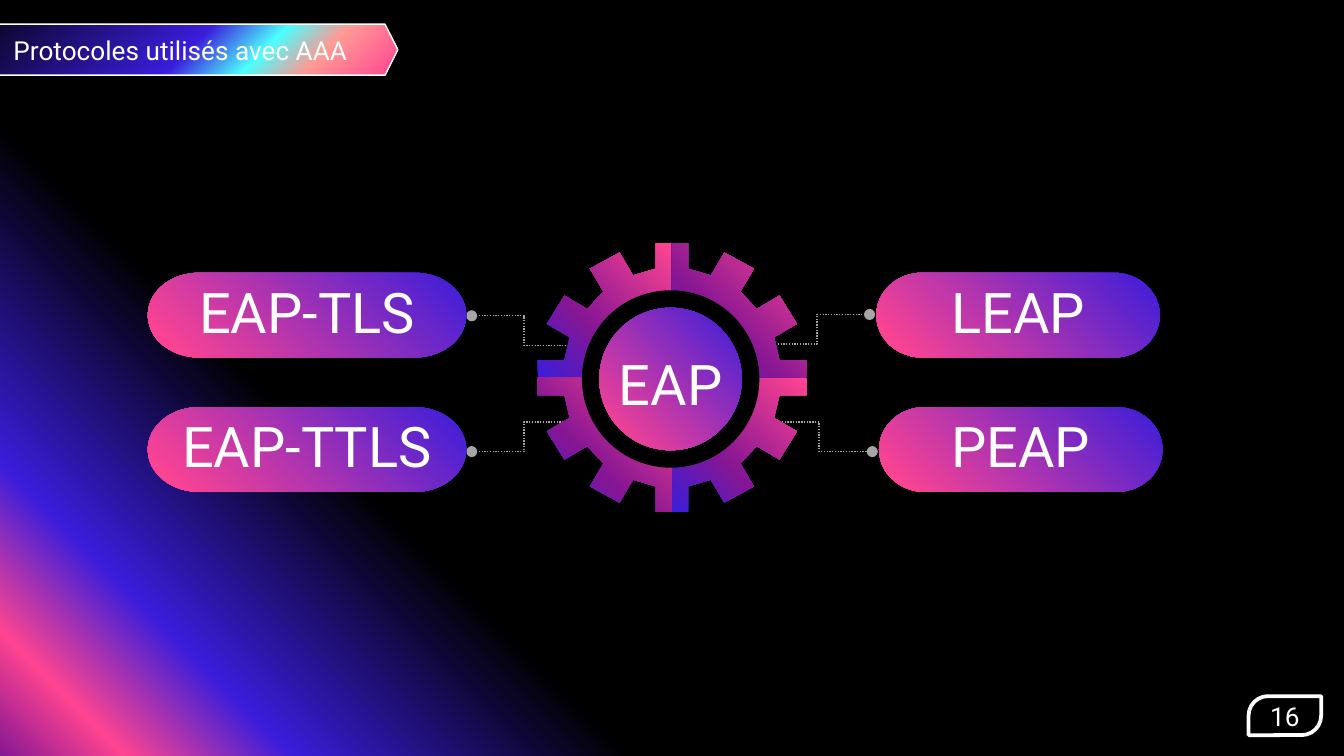
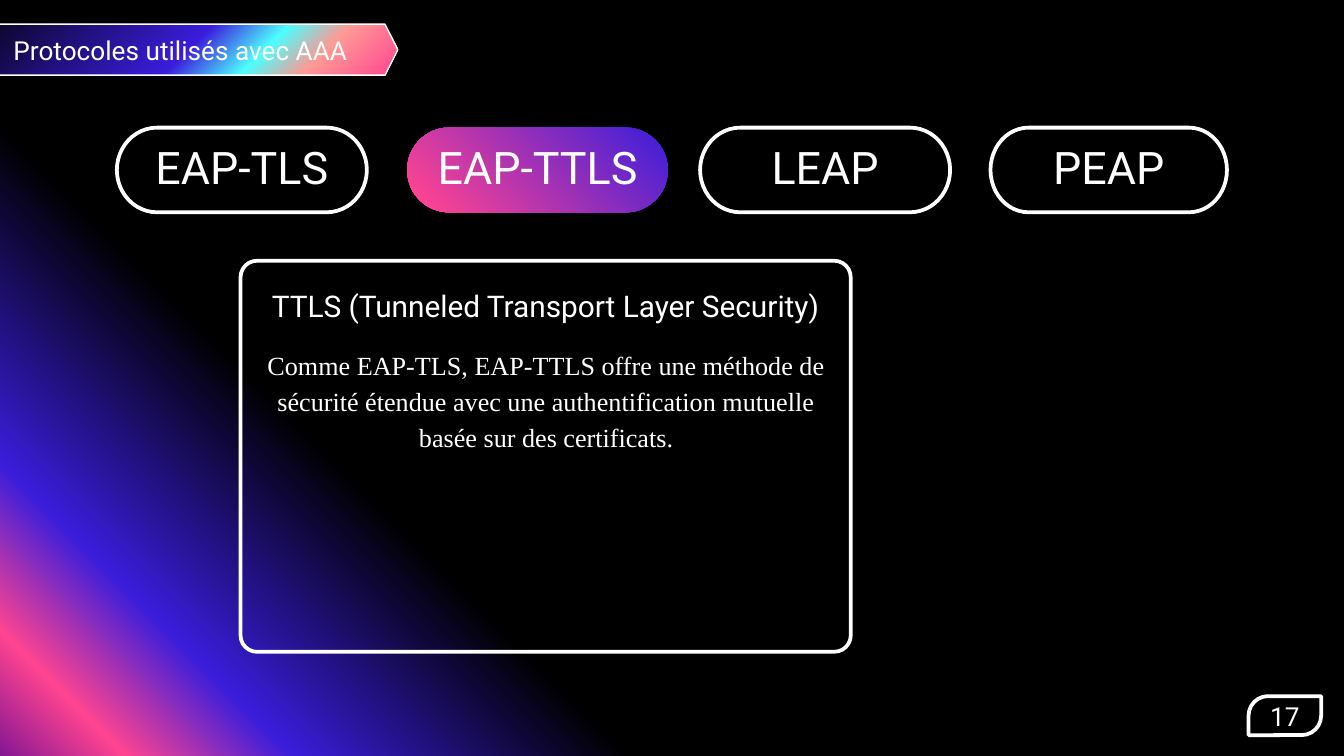
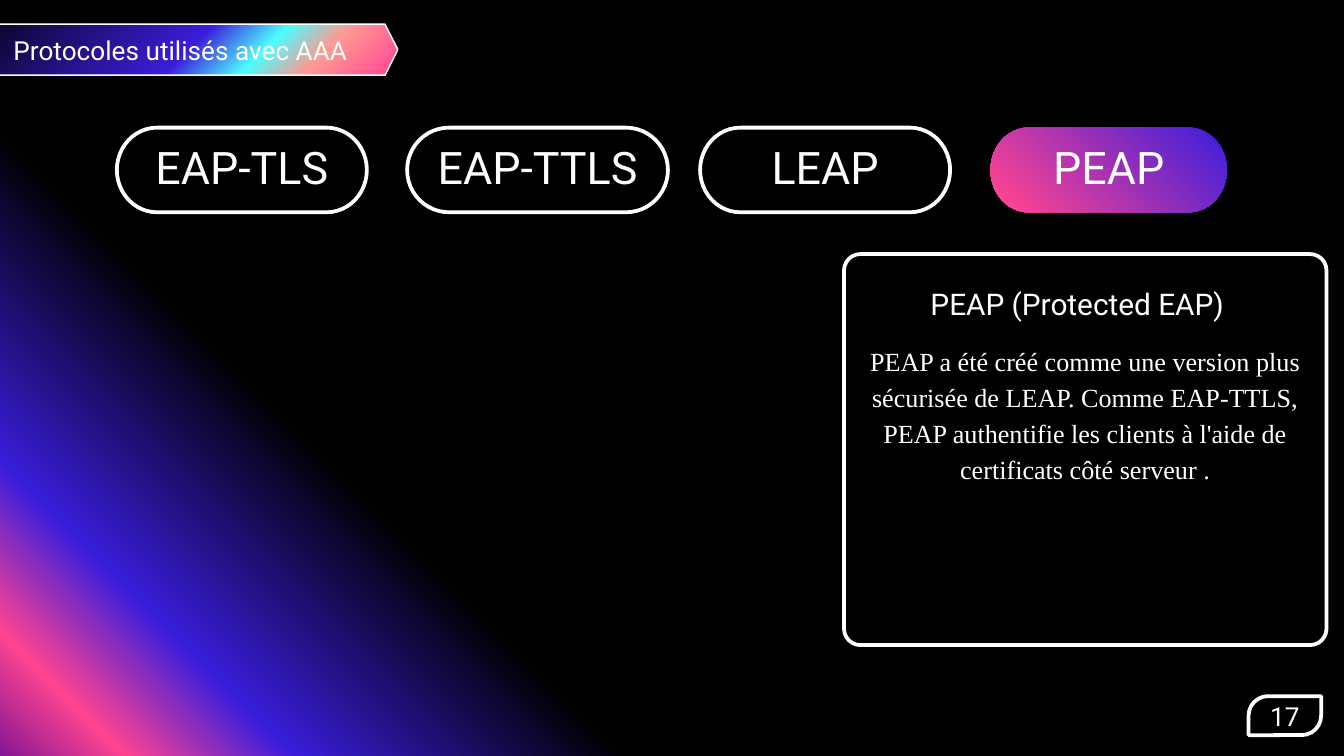
"""Build three slides on the EAP protocols used with AAA."""
from dataclasses import dataclass

from lxml.etree import SubElement
from pptx import Presentation
from pptx.dml.color import RGBColor
from pptx.enum.dml import MSO_LINE
from pptx.enum.shapes import MSO_CONNECTOR, MSO_SHAPE
from pptx.enum.text import MSO_ANCHOR, MSO_AUTO_SIZE, PP_ALIGN
from pptx.oxml import parse_xml
from pptx.oxml.ns import nsdecls, qn
from pptx.util import Inches, Pt


@dataclass(frozen=True)
class Theme:
    white: RGBColor = RGBColor(0xFF, 0xFF, 0xFF)
    black: RGBColor = RGBColor(0, 0, 0)
    grey: RGBColor = RGBColor(0xA6, 0xA6, 0xA6)
    sans: str = "Roboto"
    serif: str = "Times New Roman"
    hub: int = 30
    tab: int = 24
    heading: int = 16
    body: int = 14
    outline: float = 2
    thin: float = 0.75
    backdrop: tuple = ((0, "861693"), (6, "FF4491"), (14, "3A1DDB"), (30, "000000"), (100, "000000"))
    glow: tuple = ((0, "861693"), (6, "FF4491"), (100, "3A1DDB"))
    gear: tuple = ((1, "FF4491"), (61, "861693"), (100, "3A1DDB"))
    band: tuple = ((0, "FF4491"), (19, "FF9A94"), (31, "4DFFFF"), (46, "3A1DDB"), (100, "000000"))


theme = Theme()
BOTTOM_LEFT, TOP_RIGHT, BOTTOM_RIGHT = (0, 100, 100, 0), (100, 0, 0, 100), (100, 100, 0, 0)


def gradient(fill, props, stops, focus):
    fill.solid()
    gs = "".join(f'<a:gs pos="{pos * 1000}"><a:srgbClr val="{color}"/></a:gs>' for pos, color in stops)
    rect = " ".join(f'{side}="{value * 1000}"' for side, value in zip("ltrb", focus))
    props.replace(props.find(qn("a:solidFill")), parse_xml(
        f'<a:gradFill {nsdecls("a")} rotWithShape="1"><a:gsLst>{gs}</a:gsLst>'
        f'<a:path path="circle"><a:fillToRect {rect}/></a:path></a:gradFill>'))


def write(sp, text, size=theme.body, font=theme.sans, align=PP_ALIGN.CENTER,
          anchor=MSO_ANCHOR.MIDDLE, inset=0.1, spacing=1.0):
    tf = sp.text_frame
    tf.word_wrap = True
    tf.auto_size = MSO_AUTO_SIZE.NONE
    tf.vertical_anchor = anchor
    tf.margin_left = tf.margin_right = tf.margin_top = tf.margin_bottom = Inches(inset)
    p = tf.paragraphs[0]
    p.alignment = align
    p.line_spacing = spacing
    r = p.add_run()
    r.text = text
    r.font.size = Pt(size)
    r.font.name = font
    r.font.color.rgb = theme.white


prs = Presentation()
prs.slide_width = Inches(10)
prs.slide_height = prs.slide_width * 9 // 16
master = prs.slide_master
fill = master.background.fill
fill.solid()
gradient(fill, master.element.xpath(".//p:bgPr")[0], theme.backdrop, BOTTOM_LEFT)

slides = []
for number in ("16", "17", "17"):
    s = prs.slides.add_slide(prs.slide_layouts[5])
    slides.append(s)
    band = s.shapes.add_shape(MSO_SHAPE.HEXAGON, Inches(-0.46), Inches(0.18), Inches(3.42), Inches(0.38))
    band.shadow.inherit = False
    gradient(band.fill, band._element.spPr, theme.band, BOTTOM_RIGHT)
    band.line.color.rgb = theme.white
    band.line.width = Pt(theme.thin)

    title = s.shapes.title
    title.left, title.top, title.width, title.height = Inches(0), Inches(0.14), Inches(3.58), Inches(0.45)
    write(title, "Protocoles utilisés avec AAA", align=PP_ALIGN.LEFT, anchor=MSO_ANCHOR.BOTTOM)
    s.shapes._spTree.append(title._element)

    badge = s.shapes.add_shape(MSO_SHAPE.ROUND_2_DIAG_RECTANGLE,
                               Inches(9.29), Inches(5.18), Inches(0.54), Inches(0.29))
    badge.shadow.inherit = False
    badge.adjustments[0], badge.adjustments[1] = 0.5, 0
    badge.fill.background()
    badge.line.color.rgb = theme.white
    badge.line.width = Pt(theme.outline)
    write(badge, number, inset=0.05)

hub = slides[0].shapes
for x1, y1, x2, y2 in ((5.7, 3.14, 6.49, 3.36), (5.69, 2.56, 6.47, 2.34),
                       (4.29, 3.14, 3.51, 3.36), (4.29, 2.57, 3.51, 2.35)):
    link = hub.add_connector(MSO_CONNECTOR.ELBOW, Inches(x1), Inches(y1), Inches(x2), Inches(y2))
    link.line.color.rgb = theme.grey
    link.line.width = Pt(theme.thin)
    link.line.dash_style = MSO_LINE.ROUND_DOT
    ln = link.line._get_or_add_ln()
    for end in ("a:headEnd", "a:tailEnd"):
        SubElement(ln, qn(end), type="oval")
    SubElement(link._element.spPr, qn("a:effectLst"))

cx, cy = 5, 2.81
teeth = [(0, 1), (0.12, 1), (0.12, 0.81), (0.29, 0.76), (0.39, 0.93), (0.61, 0.81), (0.51, 0.64), (0.63, 0.51),
         (0.8, 0.61), (0.93, 0.4), (0.76, 0.3), (0.8, 0.13), (1, 0.13), (1, 0), (0, 0)]
for sx, sy in ((1, 1), (-1, -1), (1, -1), (-1, 1)):
    points = [(Inches(cx + sx * x), Inches(cy + sy * y)) for x, y in teeth]
    builder = hub.build_freeform(*points[0])
    builder.add_line_segments(points[1:], close=True)
    quarter = builder.convert_to_shape()
    quarter.shadow.inherit = False
    gradient(quarter.fill, quarter._element.spPr, theme.gear, TOP_RIGHT)
    quarter.line.fill.background()

for size in (1.32, 1.06):
    disc = hub.add_shape(MSO_SHAPE.OVAL, Inches(4.99 - size / 2), Inches(2.82 - size / 2),
                         Inches(size), Inches(size))
    disc.shadow.inherit = False
    disc.fill.solid()
    disc.fill.fore_color.rgb = theme.black
    disc.line.fill.background()
gradient(disc.fill, disc._element.spPr, theme.glow, BOTTOM_LEFT)
label = hub.add_textbox(Inches(4.38), Inches(2.5), Inches(1.22), Inches(0.76))
write(label, "EAP", size=theme.hub, inset=0.17, spacing=0.9)

branches = [("EAP-TLS", 1.1, 2.03, 2.37), ("EAP-TTLS", 1.1, 3.03, 2.37),
            ("LEAP", 6.52, 2.03, 2.11), ("PEAP", 6.54, 3.03, 2.11)]
tabs = [("EAP-TLS", 0.87, 0.95, 1.86), ("EAP-TTLS", 3.03, 0.95, 1.94),
        ("LEAP", 5.21, 0.95, 1.86), ("PEAP", 7.37, 0.95, 1.76)]
for s, pills, size, active in ((slides[0], branches, theme.hub, None),
                               (slides[1], tabs, theme.tab, "EAP-TTLS"),
                               (slides[2], tabs, theme.tab, "PEAP")):
    for name, left, top, width in pills:
        pill = s.shapes.add_shape(MSO_SHAPE.FLOWCHART_TERMINATOR,
                                  Inches(left), Inches(top), Inches(width), Inches(0.63))
        pill.shadow.inherit = False
        if active in (None, name):
            gradient(pill.fill, pill._element.spPr, theme.glow, BOTTOM_LEFT)
            pill.line.fill.background()
        else:
            pill.fill.background()
            pill.line.color.rgb = theme.white
            pill.line.width = Pt(theme.outline)
        write(pill, name, size=size, inset=0.12, spacing=0.9)

cards = [
    (slides[1], (1.79, 1.94, 4.54, 2.91), (1.79, 2.02, 4.54, 0.49), (1.85, 2.59, 4.43, 0.88),
     "TTLS (Tunneled Transport Layer Security)",
     "Comme EAP-TLS, EAP-TTLS offre une méthode de sécurité étendue avec une authentification "
     "mutuelle basée sur des certificats."),
    (slides[2], (6.28, 1.89, 3.59, 2.91), (6.22, 2, 3.59, 0.49), (6.28, 2.49, 3.59, 1.22),
     "PEAP (Protected EAP)",
     "PEAP a été créé comme une version plus sécurisée de LEAP. Comme EAP-TTLS, PEAP authentifie "
     "les clients à l'aide de certificats côté serveur ."),
]
for s, frame, heading_box, body_box, heading, body in cards:
    card = s.shapes.add_shape(MSO_SHAPE.ROUNDED_RECTANGLE, *map(Inches, frame))
    card.shadow.inherit = False
    card.adjustments[0] = 0.042
    card.fill.background()
    card.line.color.rgb = theme.white
    card.line.width = Pt(theme.outline)
    for box, text, size, font in ((heading_box, heading, theme.heading, theme.sans),
                                  (body_box, body, theme.body, theme.serif)):
        write(s.shapes.add_textbox(*map(Inches, box)), text, size=size, font=font,
              anchor=MSO_ANCHOR.BOTTOM, spacing=1.15)

prs.save("out.pptx")
